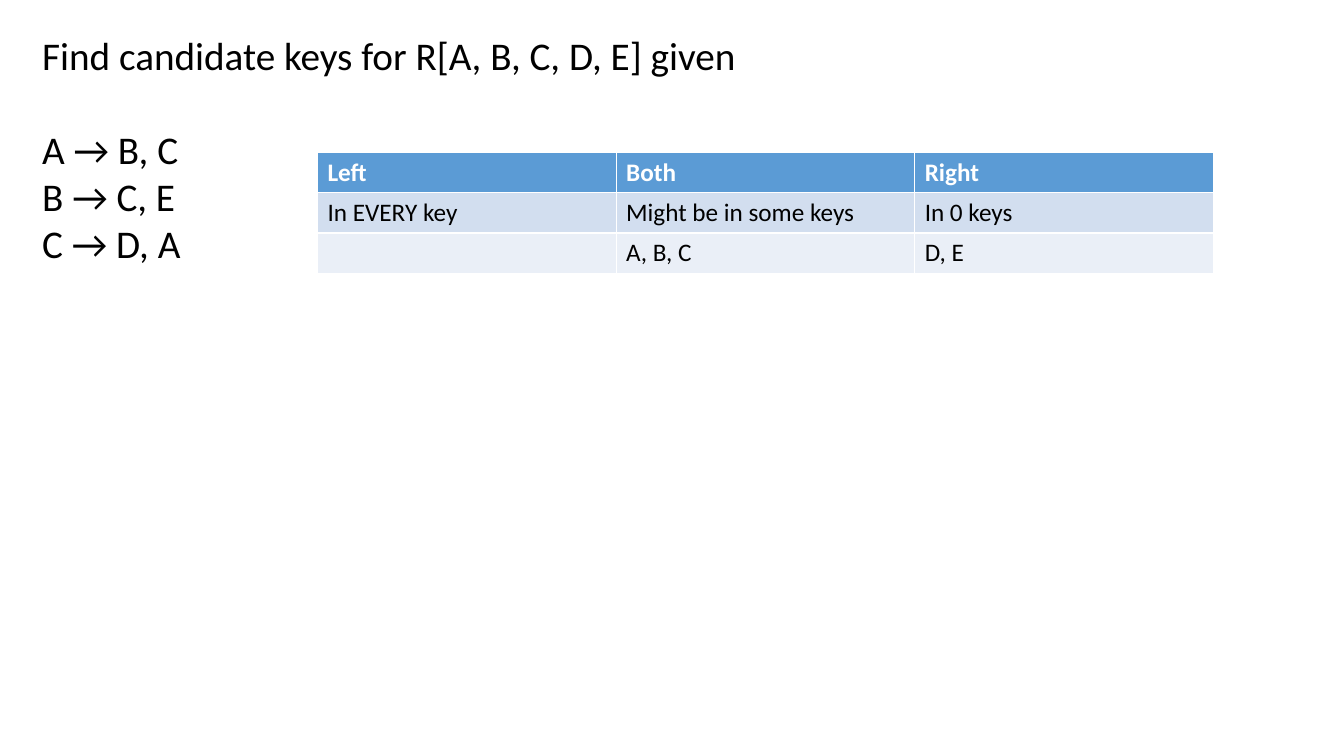
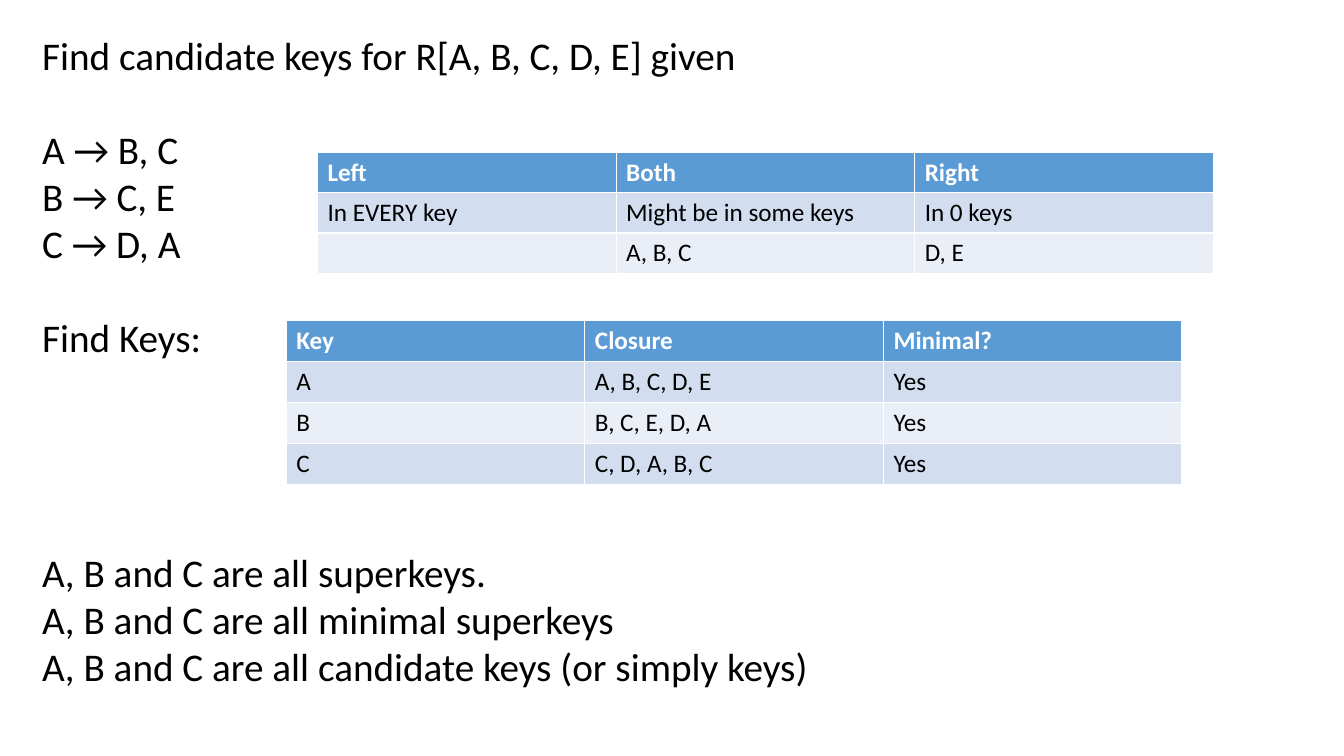
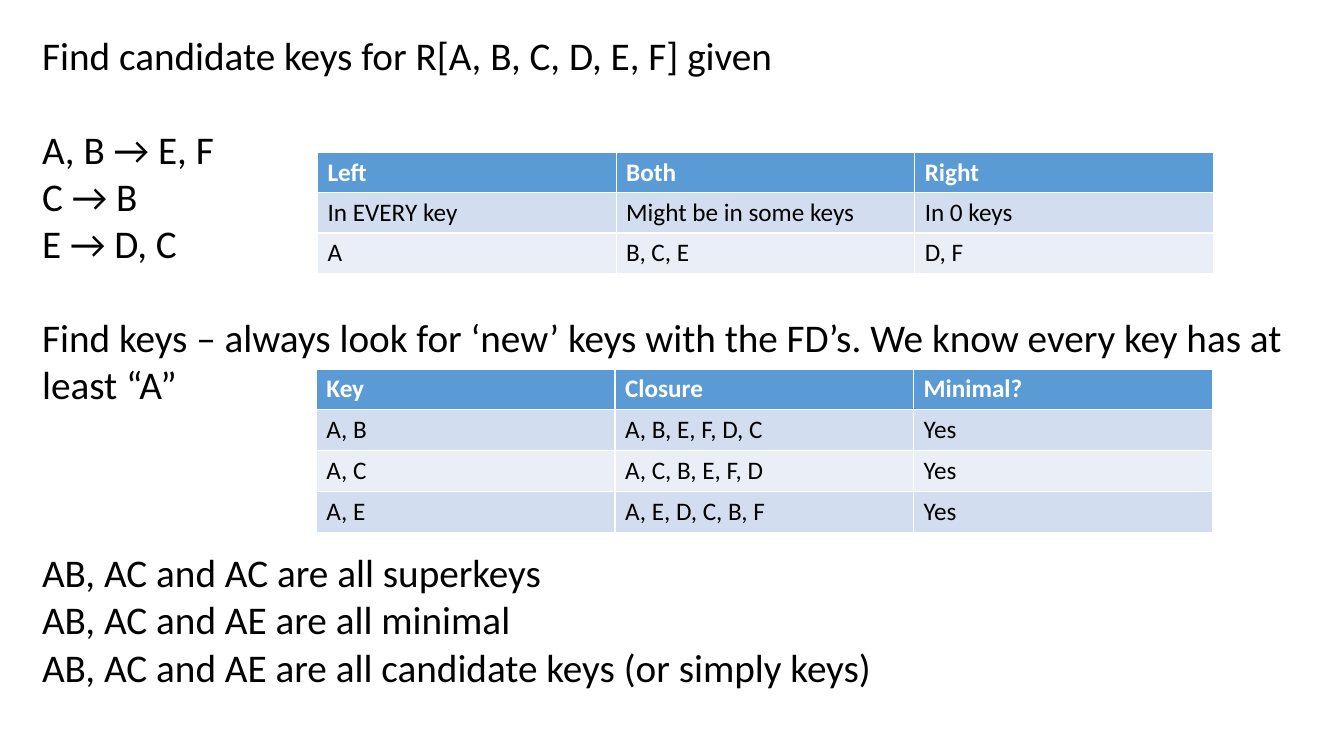
from pptx import Presentation
from pptx.dml.color import RGBColor
from pptx.enum.text import MSO_AUTO_SIZE
from pptx.util import Pt

BLACK = RGBColor(0x00, 0x00, 0x00)
WHITE = RGBColor(0xFF, 0xFF, 0xFF)
BLUE = RGBColor(0x5B, 0x9B, 0xD5)
BANDS = [RGBColor(0xD2, 0xDE, 0xEF), RGBColor(0xEA, 0xEF, 0xF7)]

BODY = {"name": "Calibri", "size": Pt(28), "bold": False}
CELL = {"name": "Calibri", "size": Pt(18), "bold": False}
HEAD = {**CELL, "bold": True}

LINE = 33.6  # height of one body line
COL = 213.3
SIDES = [("Left", "Both", "Right"),
         ("In EVERY key", "Might be in some keys", "In 0 keys")]
KEYS = ("Key", "Closure", "Minimal?")


def style(run, look, color):
    for name, value in look.items():
        setattr(run.font, name, value)
    run.font.color.rgb = color


def add_body(slide, height, blocks):
    """Write blocks of (blank lines above, lines) into one text box."""
    box = slide.shapes.add_textbox(Pt(23), Pt(18.7), Pt(915), Pt(height))
    frame = box.text_frame
    frame.word_wrap = True
    frame.auto_size = MSO_AUTO_SIZE.SHAPE_TO_FIT_TEXT
    para = frame.paragraphs[0]
    for gap, lines in blocks:
        for index, line in enumerate(lines):
            if para.runs:
                para = frame.add_paragraph()
            para.space_before = Pt(0 if index else gap * LINE)
            run = para.add_run()
            run.text = line
            style(run, BODY, BLACK)


def add_grid(slide, left, top, high, rows):
    """Add a table with a blue head row and banded rows below it."""
    wide = len(rows[0])
    table = slide.shapes.add_table(len(rows), wide, Pt(left), Pt(top),
                                   Pt(COL * wide), Pt(high * len(rows))).table
    for r, row in enumerate(rows):
        look, color, fill = ((CELL, BLACK, BANDS[(r - 1) % 2]) if r
                             else (HEAD, WHITE, BLUE))
        for c, text in enumerate(row):
            cell = table.cell(r, c)
            cell.fill.solid()
            cell.fill.fore_color.rgb = fill
            if text:
                run = cell.text_frame.paragraphs[0].add_run()
                run.text = text
                style(run, look, color)


def add_page(deck, height, blocks, sides):
    """Add a slide with its body text and the table of sides."""
    slide = deck.slides.add_slide(deck.slide_layouts[6])
    add_body(slide, height, blocks)
    add_grid(slide, 226.8, 108.7, 28.8, SIDES + [sides])
    return slide


def add_keys(slide, left, top, pairs):
    rows = [(key, closure, "Yes") for key, closure in pairs]
    add_grid(slide, left, top, 29.2, [KEYS] + rows)


def main():
    deck = Presentation()
    deck.slide_width, deck.slide_height = Pt(960), Pt(540)

    task = [(0, ["Find candidate keys for R[A, B, C, D, E] given"]),
            (1, ["A → B, C", "B → C, E", "C → D, A"])]
    sides = ("", "A, B, C", "D, E")
    add_page(deck, 244.8, task, sides)

    slide = add_page(deck, 516.2, task + [
        (1, ["Find Keys:"]),
        (4, ["A, B and C are all superkeys.",
             "A, B and C are all minimal superkeys",
             "A, B and C are all candidate keys (or simply keys)"]),
    ], sides)
    add_keys(slide, 204.5, 229, [("A", "A, B, C, D, E"),
                                 ("B", "B, C, E, D, A"),
                                 ("C", "C, D, A, B, C")])

    slide = add_page(deck, 482.4, [
        (0, ["Find candidate keys for R[A, B, C, D, E, F] given"]),
        (1, ["A, B → E, F", "C → B", "E → D, C"]),
        (1, ["Find keys – always look for ‘new’ keys with the FD’s. "
             "We know every key has at least “A”"]),
        (3, ["AB, AC and AC are all superkeys",
             "AB, AC and AE are all minimal",
             "AB, AC and AE are all candidate keys (or simply keys)"]),
    ], ("A", "B, C, E", "D, F"))
    add_keys(slide, 226, 263.5, [("A, B", "A, B, E, F, D, C"),
                                 ("A, C", "A, C, B, E, F, D"),
                                 ("A, E", "A, E, D, C, B, F")])

    deck.save("out.pptx")


if __name__ == "__main__":
    main()
